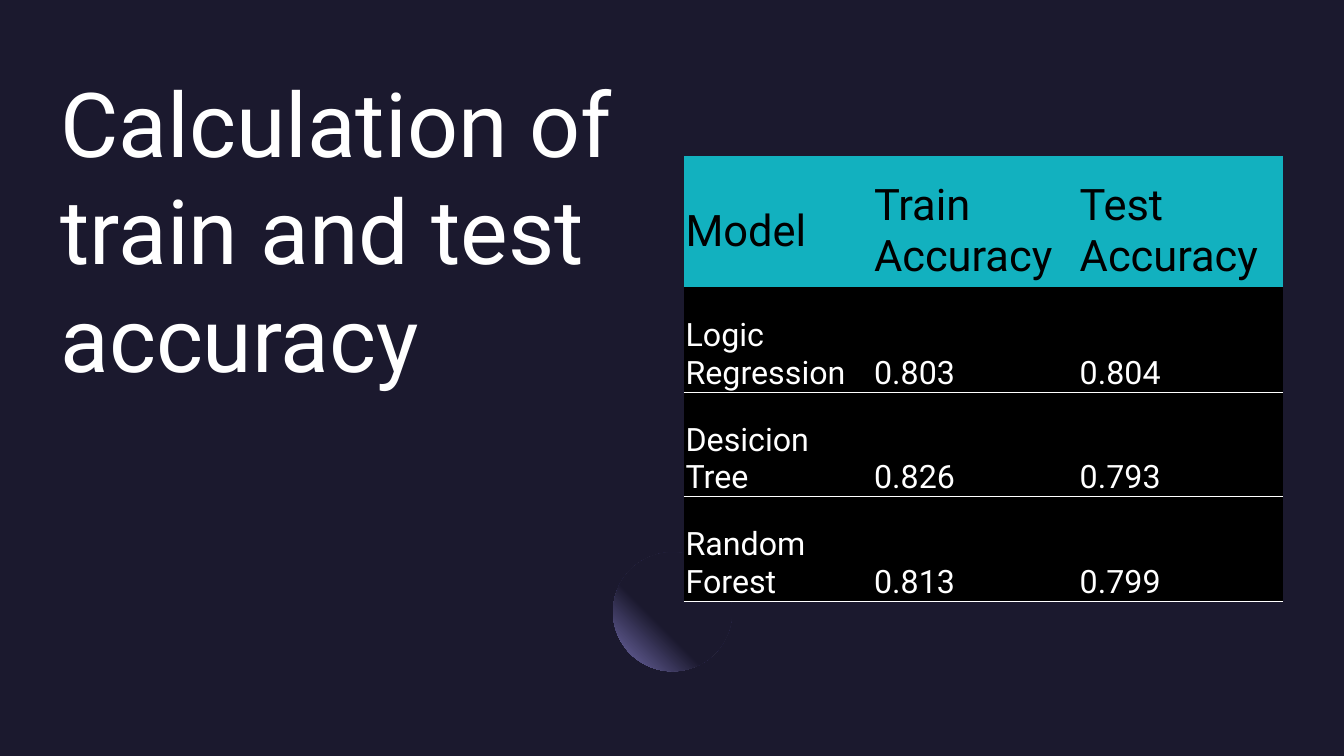
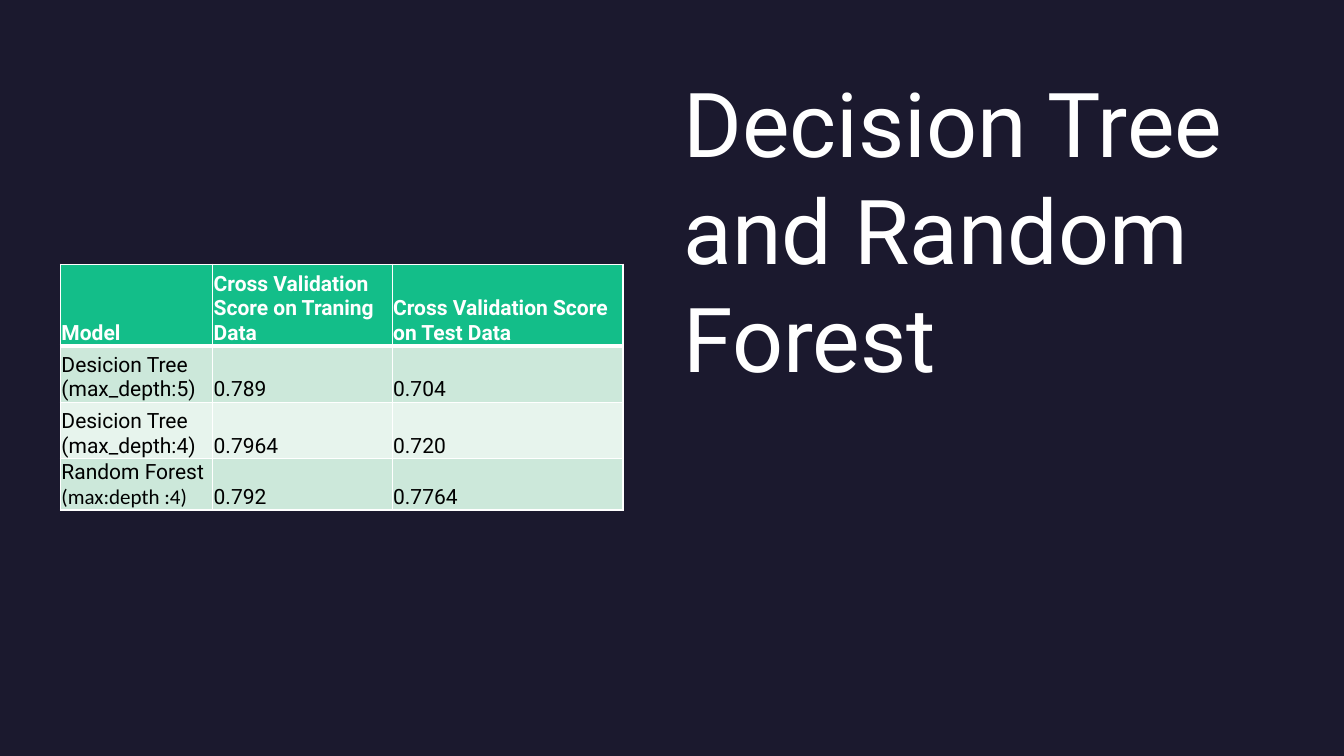
from pptx import Presentation
from pptx.util import Inches, Pt
from pptx.dml.color import RGBColor
from pptx.enum.shapes import MSO_SHAPE
from pptx.enum.text import MSO_ANCHOR, MSO_AUTO_SIZE, PP_ALIGN
from pptx.oxml import parse_xml
from pptx.oxml.ns import nsdecls, qn

NAVY = RGBColor(0x1B, 0x19, 0x2E)
LILAC = RGBColor(0x77, 0x71, 0xB2)
WHITE = RGBColor(0xFF, 0xFF, 0xFF)
BLACK = RGBColor(0, 0, 0)
TEAL = RGBColor(0x12, 0xB1, 0xBF)
GREEN = RGBColor(0x13, 0xBE, 0x89)
MINT = RGBColor(0xCC, 0xE8, 0xDA)
PALE = RGBColor(0xE7, 0xF4, 0xED)
FONT = "Roboto"
PLAIN = "{2D5ABB26-0587-4C30-8999-92F81FD0307C}"

MARGIN, SPAN, PITCH = 0.6, 5.95, 6.18
LEFT, RIGHT = MARGIN, MARGIN + PITCH

deck = Presentation()
deck.slide_width, deck.slide_height = Inches(13.33), Inches(7.5)
back = deck.slide_master.background.fill
back.solid()
back.fore_color.rgb = NAVY


def style(para, size, color, bold=False, name=FONT):
    para.alignment = PP_ALIGN.LEFT
    for key, value in {"size": Pt(size), "bold": bold, "name": name}.items():
        setattr(para.font, key, value)
    para.font.color.rgb = color


def edge(cell, sides):
    props = cell._tc.get_or_add_tcPr()
    for side in "LRTB":
        width = sides.get(side, 0)
        paint = (f'<a:solidFill><a:srgbClr val="{WHITE}"/></a:solidFill>'
                 if width else "<a:noFill/>")
        props.append(parse_xml(
            f'<a:ln{side} {nsdecls("a")} w="{Pt(width)}">{paint}</a:ln{side}>'))


pages = [
    {"title": "Calculation of train and test accuracy", "side": RIGHT, "head": LEFT,
     "top": 1.55, "cols": [1.87, 2.04, 2.04], "rows": [1.3, 1.04, 1.04, 1.04],
     "pad": (0.02, 0.19), "anchor": MSO_ANCHOR.MIDDLE, "bold": False,
     "sizes": (31, 23), "inks": (BLACK, WHITE), "fills": [TEAL, BLACK, BLACK, BLACK],
     "edges": ({}, {"B": 0.75}), "orb": True,
     "data": [["Model", "Train Accuracy", "Test Accuracy"],
              ["Logic Regression", "0.803", "0.804"],
              ["Desicion Tree", "0.826", "0.793"],
              ["Random Forest", "0.813", "0.799"]]},
    {"title": "Decision Tree and Random Forest", "side": LEFT, "head": RIGHT,
     "top": 2.62, "cols": [1.51, 1.78, 2.29], "rows": [0.81, 0.56, 0.56, 0.31],
     "pad": (0.01, 0.01), "anchor": MSO_ANCHOR.BOTTOM, "bold": True,
     "sizes": (15, 15), "inks": (WHITE, BLACK), "fills": [GREEN, MINT, PALE, MINT],
     "edges": ({"L": 1, "R": 1, "T": 1, "B": 3}, {"L": 1, "R": 1, "B": 1}), "orb": False,
     "data": [["Model", "Cross Validation Score on Traning Data",
               "Cross Validation Score on Test Data"],
              ["Desicion Tree (max_depth:5)", "0.789", "0.704"],
              ["Desicion Tree (max_depth:4)", "0.7964", "0.720"],
              ["Random Forest\n(max:depth :4)", "0.792", "0.7764"]]},
]

for page in pages:
    slide = deck.slides.add_slide(deck.slide_layouts[5])
    title = slide.shapes.title
    box = {"left": page["head"], "top": MARGIN, "width": SPAN, "height": 3.27}
    for key, value in box.items():
        setattr(title, key, Inches(value))
    frame = title.text_frame
    frame.text = page["title"]
    frame.auto_size = MSO_AUTO_SIZE.NONE
    frame.word_wrap = True
    frame.vertical_anchor = MSO_ANCHOR.BOTTOM
    for key in ("left", "top", "right", "bottom"):
        setattr(frame, f"margin_{key}", 0)
    style(frame.paragraphs[0], 64, WHITE)

    if page["orb"]:
        orb = slide.shapes.add_shape(MSO_SHAPE.OVAL, Inches(6.08), Inches(5.48),
                                     Inches(1.18), Inches(1.18))
        orb.shadow.inherit = False
        orb.line.fill.background()
        orb.fill.gradient()
        old = orb._element.spPr.find(qn("a:gradFill"))
        old.getparent().replace(old, parse_xml(
            f'<a:gradFill {nsdecls("a")}><a:gsLst>'
            f'<a:gs pos="60000"><a:srgbClr val="{NAVY}"/></a:gs>'
            f'<a:gs pos="100000"><a:srgbClr val="{LILAC}"/></a:gs></a:gsLst>'
            '<a:path path="circle"><a:fillToRect l="100000" b="100000"/></a:path>'
            '</a:gradFill>'))

    data = page["data"]
    grid = slide.shapes.add_table(
        len(data), len(data[0]), Inches(page["side"]), Inches(page["top"]),
        Inches(sum(page["cols"])), Inches(sum(page["rows"]))).table
    grid.first_row = grid.horz_banding = False
    grid._tbl.tblPr.find(qn("a:tableStyleId")).text = PLAIN
    for col, width in zip(grid.columns, page["cols"]):
        col.width = Inches(width)
    for row, height in zip(grid.rows, page["rows"]):
        row.height = Inches(height)

    side, top = page["pad"]
    for r, line in enumerate(data):
        body = min(r, 1)
        for c, text in enumerate(line):
            cell = grid.cell(r, c)
            cell.text = text
            look = {"margin_left": Inches(side), "margin_right": Inches(side),
                    "margin_top": Inches(top), "margin_bottom": 0,
                    "vertical_anchor": MSO_ANCHOR.BOTTOM if body else page["anchor"]}
            for key, value in look.items():
                setattr(cell, key, value)
            edge(cell, page["edges"][body])
            cell.fill.solid()
            cell.fill.fore_color.rgb = page["fills"][r]
            for n, para in enumerate(cell.text_frame.paragraphs):
                style(para, page["sizes"][body], page["inks"][body],
                      page["bold"] and not body, "Calibri" if n else FONT)

deck.save("out.pptx")
